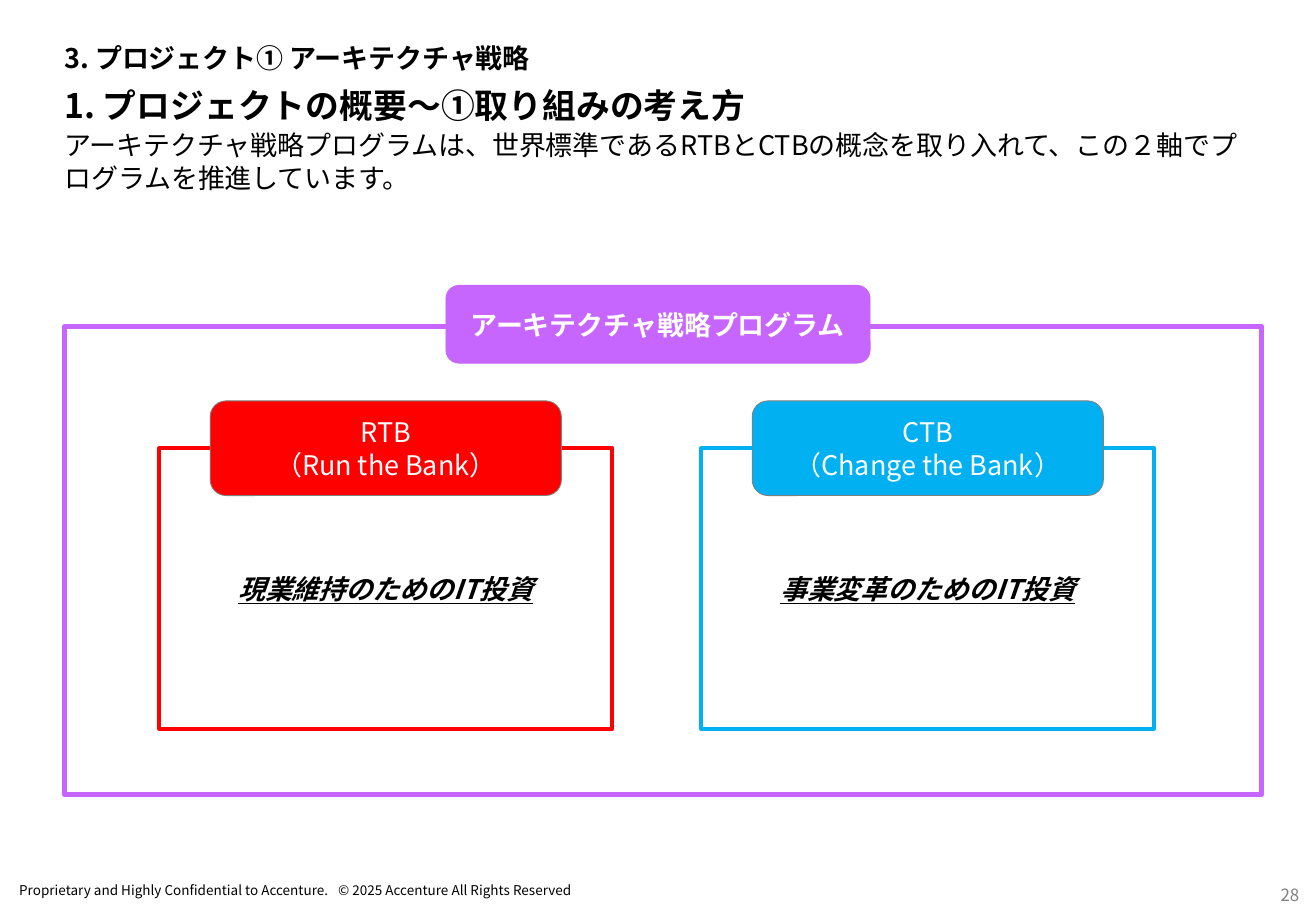
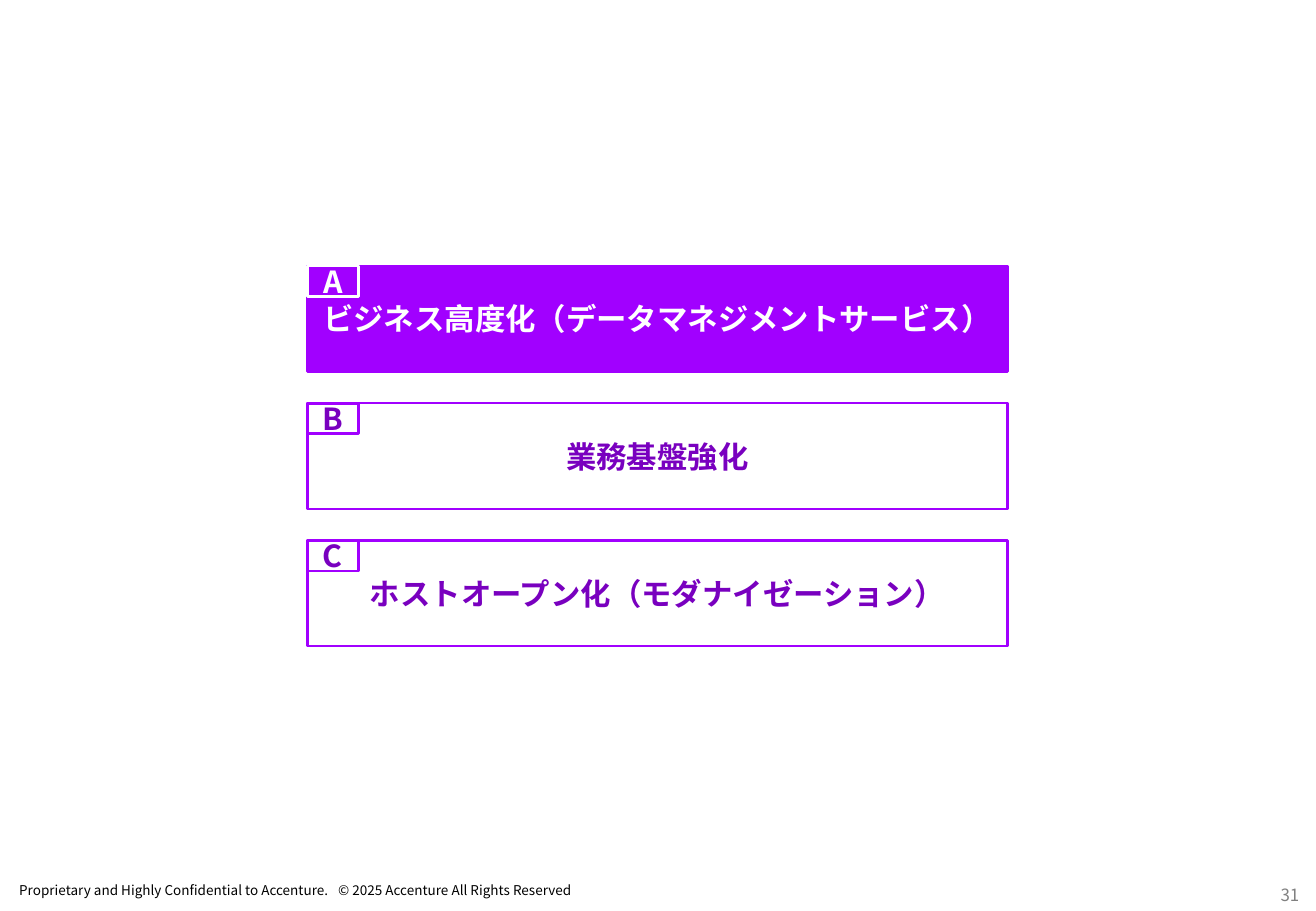
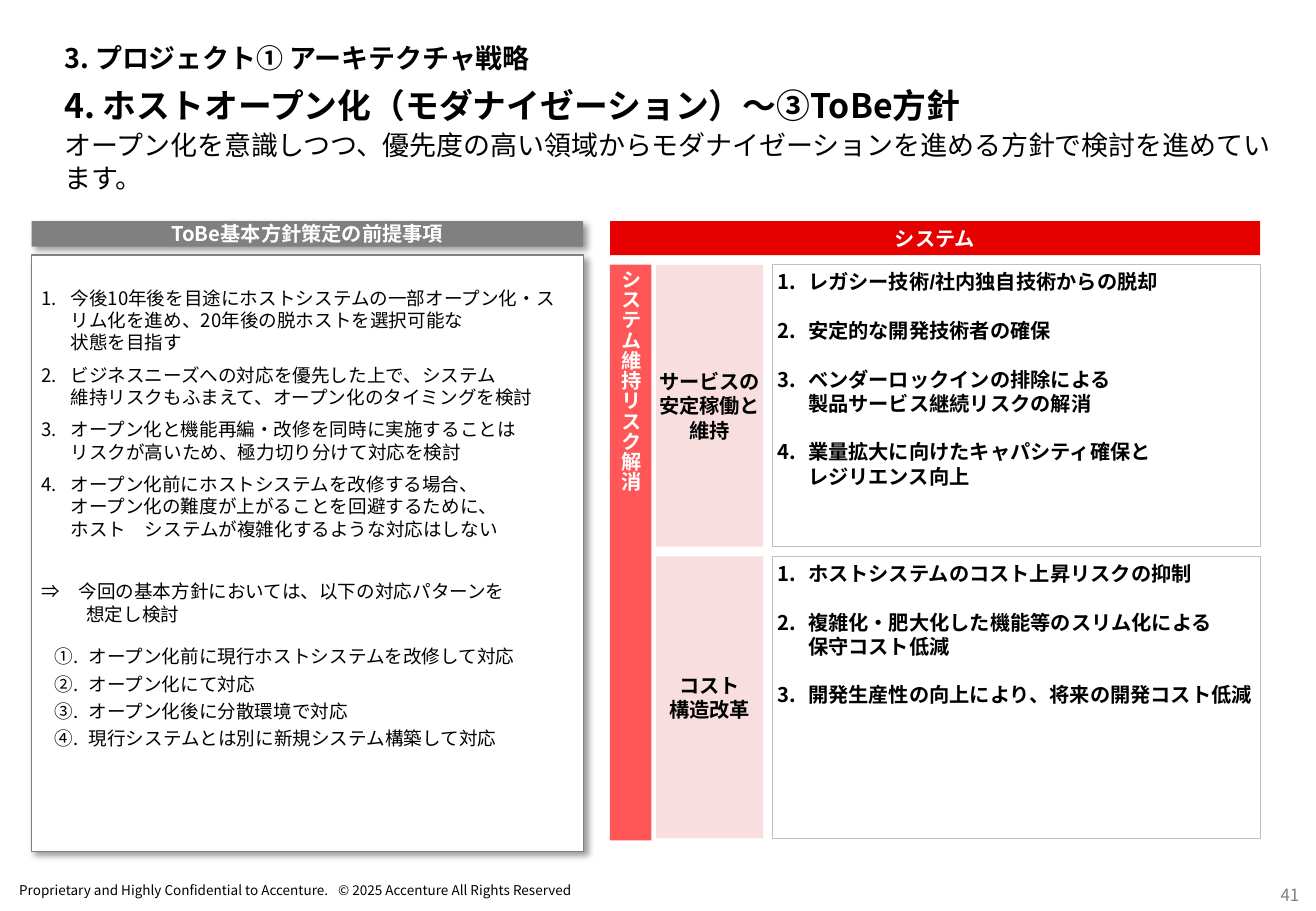
from lxml import etree
from pptx import Presentation
from pptx.dml.color import RGBColor
from pptx.enum import shapes, text
from pptx.oxml import ns
from pptx.util import Inches, Pt

BLACK = RGBColor(0x00, 0x00, 0x00)
WHITE = RGBColor(0xFF, 0xFF, 0xFF)
GRAY = RGBColor(0x80, 0x80, 0x80)
LIGHT_GRAY = RGBColor(0xBF, 0xBF, 0xBF)
PURPLE = RGBColor(0xA1, 0x00, 0xFF)
DARK_PURPLE = RGBColor(0x79, 0x00, 0xBF)
SOFT_PURPLE = RGBColor(0xC7, 0x66, 0xFF)
RED = RGBColor(0xFF, 0x00, 0x00)
DEEP_RED = RGBColor(0xE6, 0x00, 0x00)
CORAL = RGBColor(0xFF, 0x57, 0x57)
PINK = RGBColor(0xF8, 0xDE, 0xDE)
BLUE = RGBColor(0x00, 0xB0, 0xF0)

FONT = "Noto Sans CJK JP"
LINE_HEIGHT = 1.2
RECT = shapes.MSO_SHAPE.RECTANGLE
ROUND = shapes.MSO_SHAPE.ROUNDED_RECTANGLE
LEFT, CENTER = text.PP_ALIGN.LEFT, text.PP_ALIGN.CENTER
TOP, MIDDLE, BOTTOM = (text.MSO_ANCHOR.TOP, text.MSO_ANCHOR.MIDDLE,
                       text.MSO_ANCHOR.BOTTOM)

SECTION = "3. プロジェクト① アーキテクチャ戦略"
FOOTER = ("Proprietary and Highly Confidential to Accenture.\u00a0\u00a0\u00a0"
          "© 2025 Accenture All Rights Reserved")


def add_xml(parent, tag, **attributes):
    element = etree.SubElement(parent, ns.qn(tag))
    for name, value in attributes.items():
        element.set(name, str(value))
    return element


def write(frame, paragraphs, size=12, color=BLACK, bold=False, italic=False,
          underline=False, font=FONT, align=LEFT, anchor=TOP,
          insets=(0, 0, 0, 0), wrap=True, vertical=False):
    """Fill a frame; each paragraph is a string or a (string, layout) pair."""
    frame.word_wrap = wrap
    frame.vertical_anchor = anchor
    (frame.margin_left, frame.margin_top,
     frame.margin_right, frame.margin_bottom) = map(Inches, insets)
    if vertical:
        frame._txBody.bodyPr.set("vert", "eaVert")
    if isinstance(paragraphs, str):
        paragraphs = [paragraphs]
    for index, item in enumerate(paragraphs):
        content, layout = (item, {}) if isinstance(item, str) else item
        paragraph = frame.add_paragraph() if index else frame.paragraphs[0]
        lay_out(paragraph, **layout)
        paragraph.alignment = align
        paragraph.line_spacing = Pt(size * LINE_HEIGHT)
        for number, line in enumerate(content.split("\n")):
            if number:
                paragraph.add_line_break()
            run = paragraph.add_run()
            run.text = line
            run.font.size = Pt(size)
            run.font.bold = bold
            run.font.italic = italic
            run.font.underline = underline
            run.font.color.rgb = color
            run.font.name = font
            add_xml(run._r.get_or_add_rPr(), "a:ea", typeface=FONT)


def lay_out(paragraph, margin=0, hanging=0, numbering=None, before=0, after=0):
    properties = paragraph._p.get_or_add_pPr()
    properties.set("marL", str(Inches(margin)))
    properties.set("indent", str(-Inches(hanging)))
    if numbering:
        add_xml(properties, "a:buFont", typeface=FONT)
        add_xml(properties, "a:buAutoNum", type=numbering)
    paragraph.space_before = Pt(before)
    paragraph.space_after = Pt(after)


def numbered(lines, indent, before=0, after=0):
    """Number the lines, with space only between them."""
    last = len(lines) - 1
    return [(line, dict(margin=indent, hanging=indent, numbering="arabicPeriod",
                        before=before if index else 0,
                        after=after if index < last else 0))
            for index, line in enumerate(lines)]


class Deck:
    def __init__(self):
        self.presentation = Presentation()
        self.presentation.slide_width = Inches(10.83)
        self.presentation.slide_height = Inches(7.5)
        self.slide = None

    def new_slide(self, page):
        self.slide = self.presentation.slides.add_slide(
            self.presentation.slide_layouts[6])
        self.text((10.46, 7.24, 0.31, 0.25), page, size=10, color=GRAY,
                  align=CENTER, insets=(0.04,) * 4, wrap=False)
        self.text((0.06, 7.21, 5.1, 0.24), FOOTER, size=8,
                  insets=(0.1, 0.05, 0.1, 0.05), wrap=False)

    def headings(self, title, message, message_width=9.76):
        self.text((0.53, 0.2, 9.76, 0.41),
                  [(SECTION, dict(margin=0.35, hanging=0.35))],
                  size=16, bold=True, anchor=BOTTOM)
        self.text((0.53, 0.62, 9.76, 0.41), title, size=20, bold=True,
                  anchor=BOTTOM)
        self.text((0.53, 1.06, message_width, 0.73), message, size=16)

    def text(self, at, content, **style):
        write(self.slide.shapes.add_textbox(*map(Inches, at)).text_frame,
              content, **style)

    def box(self, at, content=None, kind=RECT, fill=WHITE, line=None, width=0.5,
            shadow=False, **style):
        shape = self.slide.shapes.add_shape(kind, *map(Inches, at))
        shape.shadow.inherit = False
        shape.fill.solid()
        shape.fill.fore_color.rgb = fill
        if line is None:
            shape.line.fill.background()
        else:
            shape.line.color.rgb = line
            shape.line.width = Pt(width)
        if shadow:
            self.cast_shadow(shape)
        if content:
            write(shape.text_frame, content,
                  **{"align": CENTER, "anchor": MIDDLE, **style})

    def cast_shadow(self, shape):
        effects = shape._element.spPr.find(ns.qn("a:effectLst"))
        outer = add_xml(effects, "a:outerShdw", blurRad=Pt(4), dist=Pt(3),
                        dir=45 * 60000, algn="tl", rotWithShape=0)
        color = add_xml(outer, "a:srgbClr", val=BLACK)
        add_xml(color, "a:alpha", val=40000)


def program_slide(deck):
    deck.new_slide("28")
    deck.headings(
        "1. プロジェクトの概要～①取り組みの考え方",
        "アーキテクチャ戦略プログラムは、世界標準であるRTBとCTBの概念を取り入れて、"
        "この２軸でプログラムを推進しています。")
    label = dict(size=16, insets=(0.08,) * 4)
    deck.box((0.53, 2.69, 9.85, 3.85), line=SOFT_PURPLE, width=3)
    for left, color, name, purpose in (
            (1.31, RED, ["RTB", "（Run the Bank）"], "現業維持のためのIT投資"),
            (5.77, BLUE, ["CTB", "（Change the Bank）"], "事業変革のためのIT投資")):
        deck.box((left, 3.69, 3.73, 2.31), purpose, line=color, width=2.25,
                 bold=True, italic=True, underline=True, **label)
        deck.box((left + 0.42, 3.3, 2.89, 0.78), name, kind=ROUND, fill=color,
                 line=GRAY, color=WHITE, **label)
    deck.box((3.67, 2.35, 3.49, 0.64), "アーキテクチャ戦略プログラム", kind=ROUND,
             fill=SOFT_PURPLE, line=SOFT_PURPLE, color=WHITE, bold=True, **label)


def agenda_slide(deck, current="A"):
    deck.new_slide("31")
    topics = (("A", "ビジネス高度化（データマネジメントサービス）"),
              ("B", "業務基盤強化"),
              ("C", "ホストオープン化（モダナイゼーション）"))
    for index, (letter, topic) in enumerate(topics):
        active = letter == current
        top = 2.19 + index * 1.13
        style = dict(fill=PURPLE if active else WHITE, width=1.5, size=18,
                     color=WHITE if active else DARK_PURPLE, bold=True,
                     wrap=False)
        deck.box((2.53, top, 5.76, 0.87), topic, line=PURPLE, **style)
        deck.box((2.53, top, 0.42, 0.25), letter,
                 line=WHITE if active else PURPLE, **style)


def policy_slide(deck):
    deck.new_slide("41")
    deck.headings(
        "4. ホストオープン化（モダナイゼーション）～③ToBe方針",
        "オープン化を意識しつつ、優先度の高い領域からモダナイゼーションを進める方針で"
        "検討を進めています。", message_width=9.99)

    premises = numbered([
        "今後10年後を目途にホストシステムの一部オープン化・スリム化を進め、"
        "20年後の脱ホストを選択可能な\n状態を目指す",
        "ビジネスニーズへの対応を優先した上で、システム\n"
        "維持リスクもふまえて、オープン化のタイミングを検討",
        "オープン化と機能再編・改修を同時に実施することは\n"
        "リスクが高いため、極力切り分けて対応を検討",
        "オープン化前にホストシステムを改修する場合、\n"
        "オープン化の難度が上がることを回避するために、\n"
        "ホスト　システムが複雑化するような対応はしない"], 0.24, before=6)
    conclusion = ("⇒　今回の基本方針においては、以下の対応パターンを\n想定し検討",
                  dict(margin=0.37, hanging=0.37, before=24))
    patterns = [
        (pattern, dict(margin=0.39, hanging=0.28, numbering="circleNumDbPlain",
                       before=3 if index else 12))
        for index, pattern in enumerate((
            "オープン化前に現行ホストシステムを改修して対応",
            "オープン化にて対応",
            "オープン化後に分散環境で対応",
            "現行システムとは別に新規システム構築して対応"))]
    deck.box((0.26, 1.82, 4.54, 0.21), "ToBe基本方針策定の前提事項", fill=GRAY,
             shadow=True, color=WHITE, bold=True, insets=(0.08, 0, 0.08, 0))
    deck.box((0.26, 2.1, 4.54, 4.91), premises + [conclusion] + patterns,
             line=GRAY, width=0.75, shadow=True, size=11, align=LEFT,
             anchor=TOP, insets=(0.08, 0.26, 0.08, 0.08))

    style = dict(font="Arial", bold=True)
    padded = dict(insets=(0.04,) * 4, **style)
    deck.box((5.02, 1.82, 5.35, 0.28), "システム", fill=DEEP_RED, color=WHITE,
             **style)
    deck.box((5.02, 2.18, 0.34, 4.74), "システム維持リスク解消", fill=CORAL,
             color=WHITE, align=LEFT, vertical=True, **padded)
    goals = (
        (["サービスの", "安定稼働と\n維持"],
         ["レガシー技術/社内独自技術からの脱却",
          "安定的な開発技術者の確保",
          "ベンダーロックインの排除による\n製品サービス継続リスクの解消",
          "業量拡大に向けたキャパシティ確保と\nレジリエンス向上"]),
        ("コスト\n構造改革",
         ["ホストシステムのコスト上昇リスクの抑制",
          "複雑化・肥大化した機能等のスリム化による\n保守コスト低減",
          "開発生産性の向上により、将来の開発コスト低減"]))
    for index, (goal, measures) in enumerate(goals):
        top = 2.18 + index * 2.4
        deck.box((5.4, top, 0.88, 2.32), goal, fill=PINK, wrap=False, **padded)
        deck.box((6.36, top, 4.01, 2.32),
                 numbered(measures, 0.25, after=12 * LINE_HEIGHT),
                 line=LIGHT_GRAY, align=LEFT, anchor=TOP, **padded)


def main():
    deck = Deck()
    program_slide(deck)
    agenda_slide(deck)
    policy_slide(deck)
    deck.presentation.save("out.pptx")


if __name__ == "__main__":
    main()
